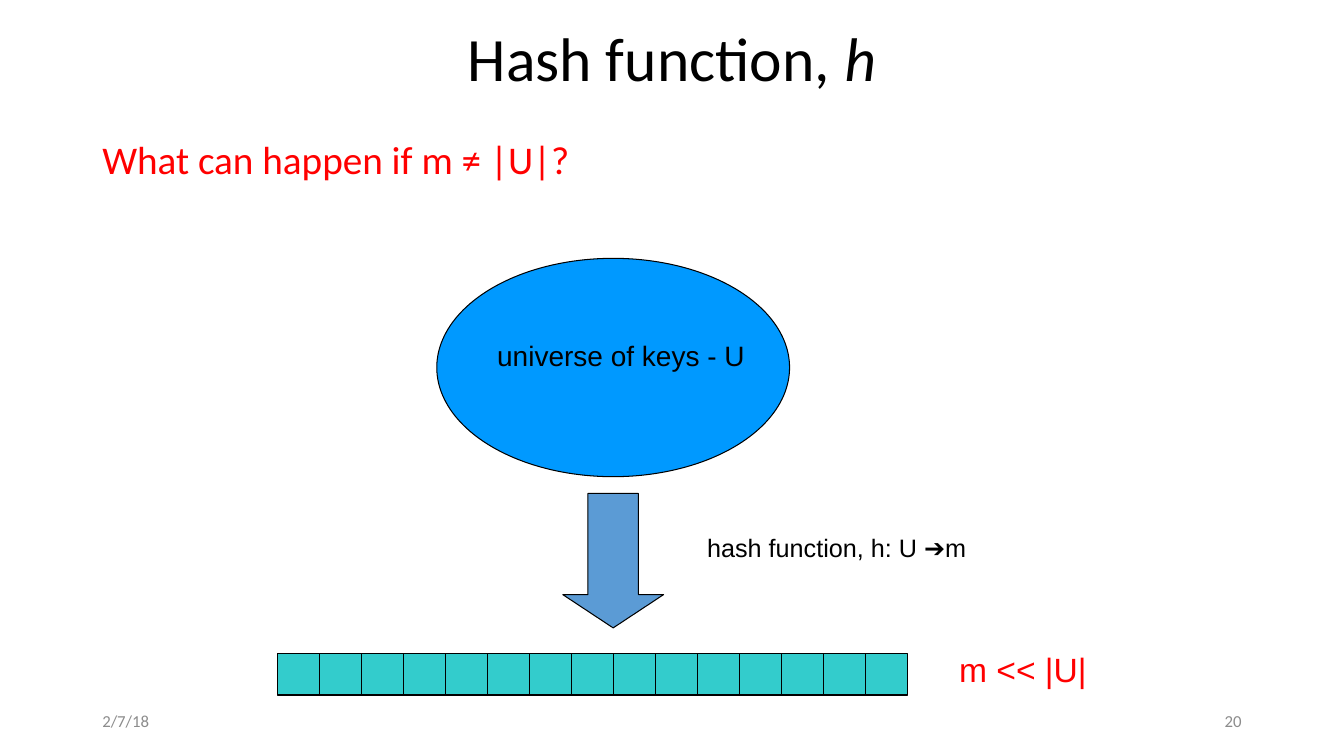
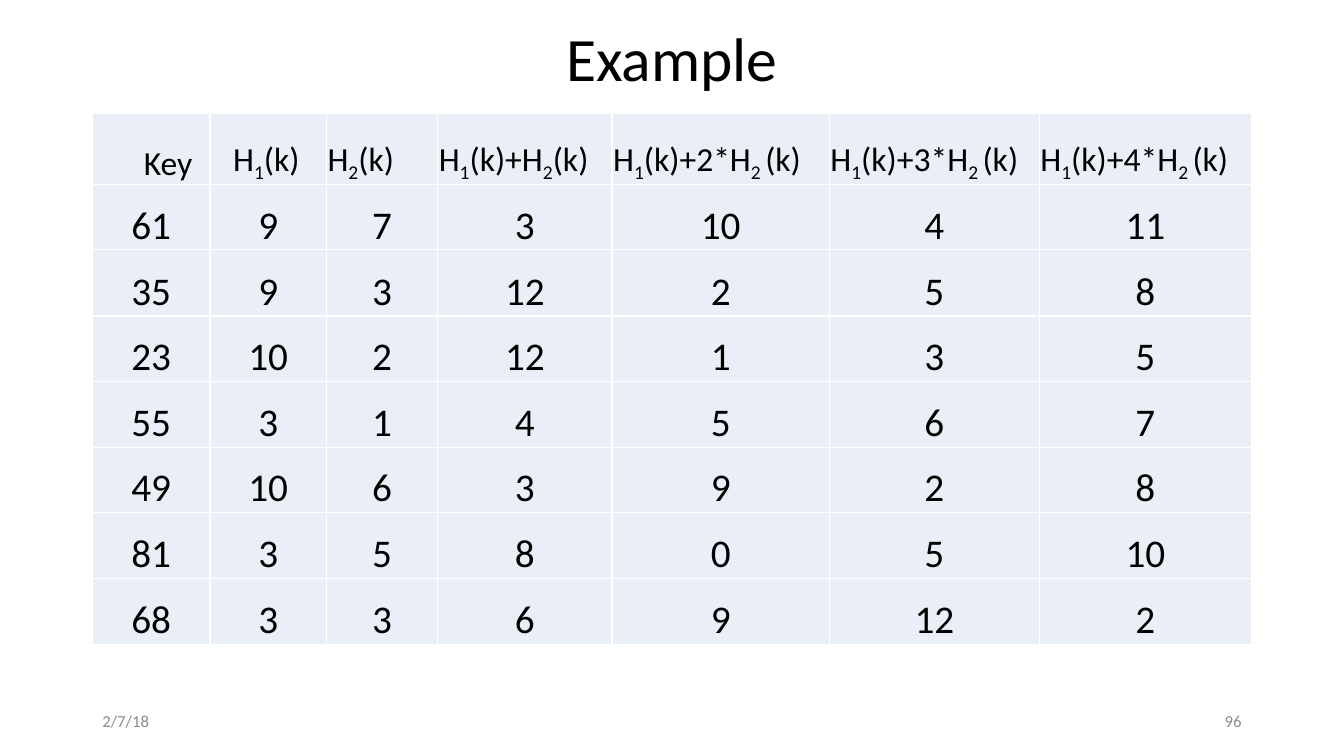
from lxml import etree
from pptx import Presentation
from pptx.dml.color import RGBColor
from pptx.enum.shapes import MSO_CONNECTOR, MSO_SHAPE
from pptx.enum.text import MSO_ANCHOR, PP_ALIGN
from pptx.oxml.ns import qn
from pptx.util import Pt

PX = 9525  # EMU in one px, 96 px to the inch

BLACK = RGBColor(0x00, 0x00, 0x00)
WHITE = RGBColor(0xFF, 0xFF, 0xFF)
RED = RGBColor(0xFF, 0x00, 0x00)
GREY = RGBColor(0x8C, 0x8C, 0x8C)
SKY = RGBColor(0x00, 0x99, 0xFF)
STEEL = RGBColor(0x5B, 0x9B, 0xD5)
TEAL = RGBColor(0x33, 0xCC, 0xCC)
PALE = RGBColor(0xEA, 0xEF, 0xF7)

LEFT, WIDTH = 88, 1104  # content column
DATE = "2/7/18"

KEY_COLUMNS = [112, 111, 106, 166, 207, 200, 202]
KEY_ROWS = [68] + [62, 63] * 3 + [63]
# Every second part between bars is a subscript
KEY_HEADS = ["Key", "H|1|(k)", "H|2|(k)", "H|1|(k)+H|2|(k)"] + [
    f"H|1|(k)+{step}*H|2 |(k)" for step in (2, 3, 4)
]
HEAD_INDENTS = [49, 22, 1, 1, 1, 1, 1]
KEY_VALUES = [
    [61, 9, 7, 3, 10, 4, 11],
    [35, 9, 3, 12, 2, 5, 8],
    [23, 10, 2, 12, 1, 3, 5],
    [55, 3, 1, 4, 5, 6, 7],
    [49, 10, 6, 3, 9, 2, 8],
    [81, 3, 5, 8, 0, 5, 10],
    [68, 3, 3, 6, 9, 12, 2],
]


def emu(*lengths):
    return [length * PX for length in lengths]


class Slides:
    """Holds the deck, its style and the current slide."""

    heading_font, label_font = "Calibri", "Arial"

    def __init__(self):
        self.deck = Presentation()
        self.deck.slide_width, self.deck.slide_height = emu(1280, 720)
        self.page = None

    def start(self, title, number):
        """Open a slide with its title and footer; title is (text, italic) pairs."""
        self.page = self.deck.slides.add_slide(self.deck.slide_layouts[6])
        para = self.text((LEFT, 10, WIDTH, 97), "", 44, align=PP_ALIGN.CENTER,
                         anchor=MSO_ANCHOR.MIDDLE, spacing=0.9)
        for words, italic in title:
            span = para.add_run()
            span.text = words
            if italic:
                span.font.italic = True
        for left, words, align in ((LEFT, DATE, PP_ALIGN.LEFT),
                                   (904, str(number), PP_ALIGN.RIGHT)):
            self.text((left, 667, 288, 38), words, 12, GREY, align=align,
                      anchor=MSO_ANCHOR.MIDDLE)

    def style(self, para, size, color=BLACK, font=None):
        para.font.name = font or self.heading_font
        para.font.size = Pt(size)
        para.font.color.rgb = color

    def text(self, area, words, size, color=BLACK, font=None,
             align=PP_ALIGN.LEFT, anchor=MSO_ANCHOR.TOP, spacing=None):
        frame = self.page.shapes.add_textbox(*emu(*area)).text_frame
        frame.word_wrap = True
        frame.vertical_anchor = anchor
        para = frame.paragraphs[0]
        if words:
            para.text = words
        para.alignment = align
        para.line_spacing = spacing
        self.style(para, size, color, font)
        return para

    def label(self, area, words, size, color=BLACK):
        self.text(area, words, size, color, self.label_font)

    def outline(self, item):
        item.line.color.rgb = BLACK
        item.line.width = Pt(0.75)

    def shape(self, kind, area, fill, parent=None):
        shape = (parent or self.page).shapes.add_shape(kind, *emu(*area))
        shape.shadow.inherit = False
        shape.fill.solid()
        shape.fill.fore_color.rgb = fill
        self.outline(shape)
        return shape

    def strip(self, left, top, size, count):
        """Draw an array of square slots as one group."""
        group = self.page.shapes.add_group_shape()
        self.shape(MSO_SHAPE.RECTANGLE, (left, top, size * count, size), TEAL, group)
        for slot in range(1, count):
            x = left + slot * size
            line = group.shapes.add_connector(
                MSO_CONNECTOR.STRAIGHT, *emu(x, top, x, top + size))
            self.outline(line)
            etree.SubElement(line._element.spPr, qn("a:effectLst"))

    def table(self, left, top, columns, rows):
        area = emu(left, top, sum(columns), sum(rows))
        table = self.page.shapes.add_table(len(rows), len(columns), *area).table
        table.first_row = table.horz_banding = False
        for column, width in zip(table.columns, emu(*columns)):
            column.width = width
        for row, height in zip(table.rows, emu(*rows)):
            row.height = height
        return table

    def cell(self, cell, words, size, align=PP_ALIGN.LEFT, indent=1):
        cell.margin_left, cell.margin_top, cell.margin_right, cell.margin_bottom = (
            emu(indent, 1, 1, 0))
        cell.vertical_anchor = MSO_ANCHOR.BOTTOM
        para = cell.text_frame.paragraphs[0]
        para.alignment = align
        self.style(para, size)
        for position, part in enumerate(words.split("|")):
            span = para.add_run()
            span.text = part
            if position % 2:
                span._r.get_or_add_rPr().set("baseline", "-25000")
        # Borders come before the fill in the cell properties
        properties = cell._tc.get_or_add_tcPr()
        for side in ("lnL", "lnR", "lnT", "lnB"):
            border = etree.SubElement(properties, qn(f"a:{side}"), w=str(Pt(1)))
            paint = etree.SubElement(border, qn("a:solidFill"))
            etree.SubElement(paint, qn("a:srgbClr"), val=str(WHITE))
        cell.fill.solid()
        cell.fill.fore_color.rgb = PALE


def hash_function(slides):
    slides.start([("Hash function, ", False), ("h", True)], 20)
    slides.text((LEFT, 129, WIDTH, 520), "What can happen if m ≠ |U|?", 28, RED,
                spacing=0.9)
    # Universe of keys mapped down to the slots
    slides.shape(MSO_SHAPE.OVAL, (416, 246, 336, 208), SKY)
    slides.label((464, 318, 264, 41), "universe of keys - U", 20)
    arrow = slides.shape(MSO_SHAPE.DOWN_ARROW, (536, 470, 96, 128), STEEL)
    arrow.adjustments[1] = 0.33
    slides.label((664, 502, 336, 38), "hash function, h: U ➔m", 18)
    slides.strip(264, 622, 40, 15)
    slides.label((904, 613, 216, 48), "m << |U|", 24, RED)


def example(slides):
    slides.start([("Example", False)], 96)
    table = slides.table(LEFT, 108, KEY_COLUMNS, KEY_ROWS)
    for column, (words, indent) in enumerate(zip(KEY_HEADS, HEAD_INDENTS)):
        slides.cell(table.cell(0, column), words, 24, indent=indent)
    for row, values in enumerate(KEY_VALUES, start=1):
        for column, value in enumerate(values):
            slides.cell(table.cell(row, column), str(value), 28, PP_ALIGN.CENTER)


def main():
    slides = Slides()
    hash_function(slides)
    example(slides)
    slides.deck.save("out.pptx")


if __name__ == "__main__":
    main()
